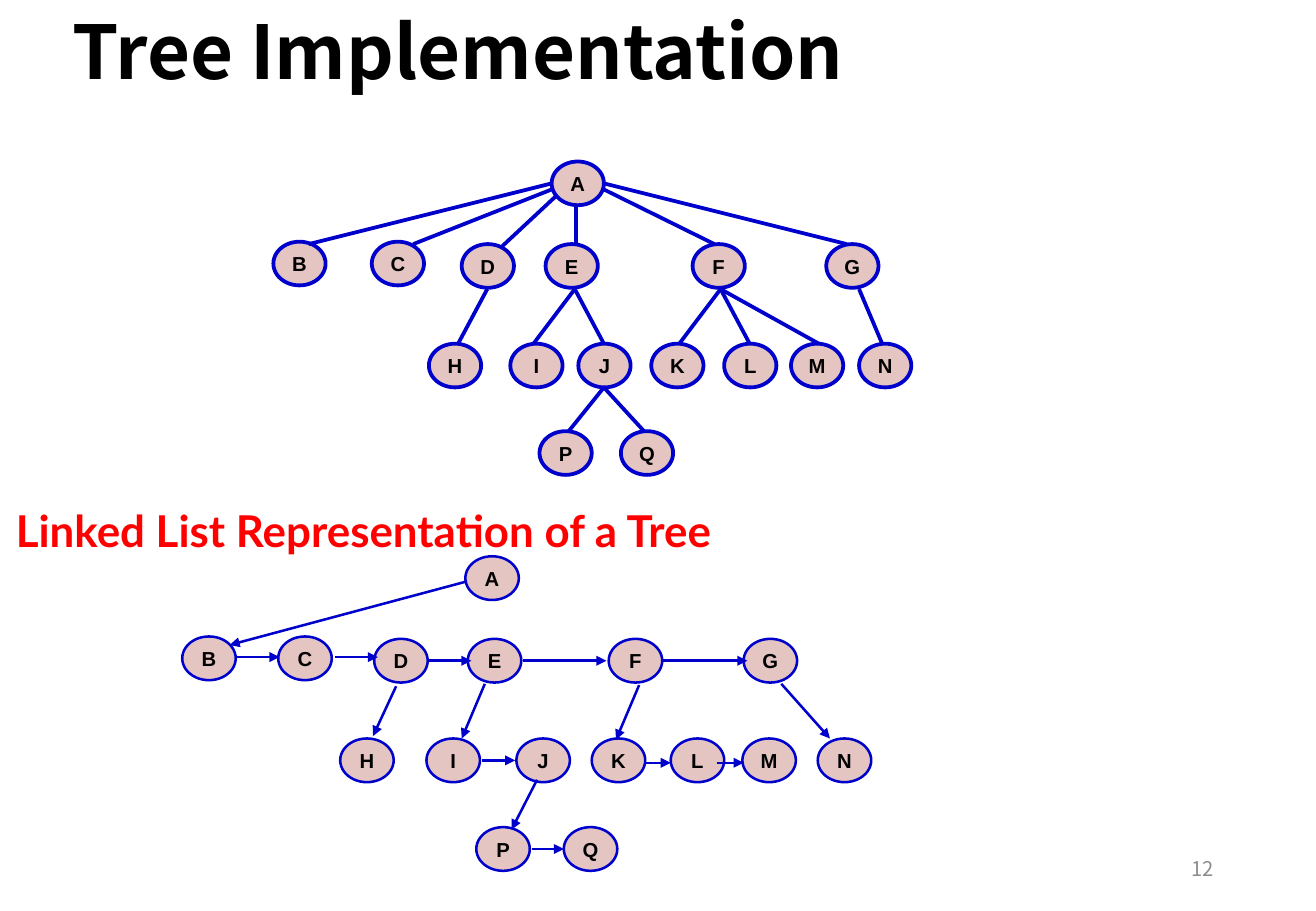
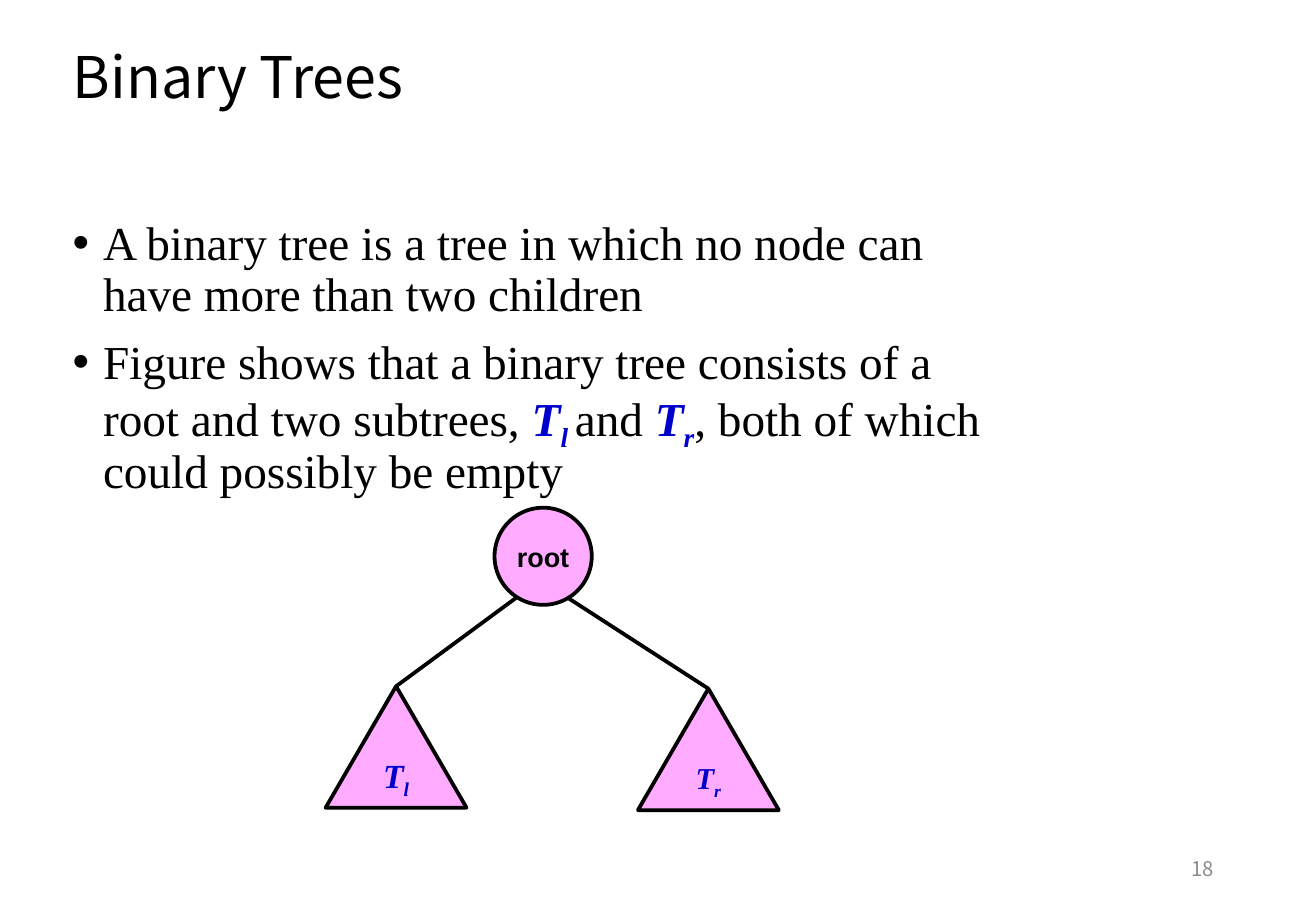
import pptx
import pptx.util
import pptx.dml.color
import pptx.enum.shapes
import pptx.enum.text
import pptx.oxml.ns
import lxml.etree

RGBColor = pptx.dml.color.RGBColor
SHAPE = pptx.enum.shapes.MSO_SHAPE
ALIGN = pptx.enum.text.PP_ALIGN
ANCHOR = pptx.enum.text.MSO_ANCHOR

PX = 9144  # 100 px to the inch

BLACK = RGBColor(0x00, 0x00, 0x00)
GREY = RGBColor(0x8C, 0x8C, 0x8C)
RED = RGBColor(0xFF, 0x00, 0x00)
BLUE = RGBColor(0x00, 0x00, 0xCC)
ROSE = RGBColor(0xE4, 0xC5, 0xC2)
PINK = RGBColor(0xFF, 0xAB, 0xFF)

HEAD_FONT = "Noto Sans CJK SC"
BODY_FONT = "Times New Roman"
NODE_FONT = "Arial"

# Each tree level: top, then the left of each node
TREE_LEVELS = [
    (133, {"A": 454}),
    (199, {"B": 225, "C": 306}),
    (201, {"D": 380, "E": 449, "F": 570, "G": 680}),
    (283, {"H": 353, "I": 420, "J": 476, "K": 536, "L": 596, "M": 651, "N": 707}),
    (355, {"P": 444, "Q": 511}),
]
LIST_LEVELS = [
    (458, {"A": 383}),
    (524, {"B": 150, "C": 229}),
    (526, {"D": 308, "E": 385, "F": 501, "G": 612}),
    (608, {"H": 280, "I": 351, "J": 425, "K": 487, "L": 552, "M": 611, "N": 673}),
    (681, {"P": 392, "Q": 464}),
]

# Each edge: x1, y1, x2, y2
TREE_EDGES = [
    (454, 151, 254, 201), (454, 156, 340, 201), (457, 162, 413, 203),
    (474, 170, 474, 201), (497, 156, 588, 201), (497, 151, 697, 201),
    (401, 238, 377, 283),
    (473, 238, 439, 283), (473, 238, 497, 283),
    (593, 238, 559, 283), (593, 238, 617, 283), (593, 238, 674, 283),
    (707, 238, 726, 283),
    (497, 319, 468, 355), (497, 319, 530, 355),
]
CHILD_LINKS = [
    (383, 479, 189, 531), (326, 565, 307, 606), (399, 563, 380, 608),
    (526, 564, 507, 609), (643, 563, 683, 608), (442, 642, 421, 683),
]
SIBLING_LINKS = [
    (195, 541, 230, 541), (276, 541, 311, 541), (353, 544, 388, 544),
    (430, 544, 499, 544), (546, 544, 615, 544), (397, 626, 424, 626),
    (530, 628, 552, 628), (590, 628, 612, 628), (438, 699, 464, 699),
]


def px(*lengths):
    return [pptx.util.Emu(n * PX) for n in lengths]


def write(p, parts, font, size, color=BLACK, bold=False):
    """Add (text, kind) runs; kind "var" is a blue symbol, "sub" its subscript."""
    for text, kind in parts:
        r = p.add_run()
        r.text = text
        r.font.name = font
        r.font.size = pptx.util.Pt(size)
        r.font.bold = bold or kind != ""
        r.font.italic = kind != ""
        r.font.color.rgb = BLUE if kind else color
        if kind == "sub":
            r._r.get_or_add_rPr().set("baseline", "-25000")


def add_text(s, box, text, font, size, color, bold=False, align=ALIGN.LEFT,
             anchor=ANCHOR.MIDDLE):
    tf = s.shapes.add_textbox(*px(*box)).text_frame
    tf.word_wrap = True
    tf.vertical_anchor = anchor
    p = tf.paragraphs[0]
    p.alignment = align
    write(p, [(text, "")], font, size, color, bold)
    return tf


def add_slide(prs, title, top, size, bold, number):
    s = prs.slides.add_slide(prs.slide_layouts[5])
    sp = s.shapes.title
    sp.left, sp.top, sp.width, sp.height = px(50, top, 792, 125)
    tf = sp.text_frame
    tf.auto_size = pptx.enum.text.MSO_AUTO_SIZE.NONE
    tf.vertical_anchor = ANCHOR.TOP
    p = tf.paragraphs[0]
    p.alignment = ALIGN.LEFT
    p.line_spacing = 0.9
    write(p, [(title, "")], HEAD_FONT, size, bold=bold)
    add_text(s, (765, 695, 244, 40), number, HEAD_FONT, 12, GREY, align=ALIGN.RIGHT)
    return s


def add_node(s, kind, box, parts, font, size, fill, line, weight):
    sp = s.shapes.add_shape(kind, *px(*box))
    sp.shadow.inherit = False
    sp.fill.solid()
    sp.fill.fore_color.rgb = fill
    sp.line.color.rgb = line
    sp.line.width = pptx.util.Pt(weight)
    tf = sp.text_frame
    tf.word_wrap = False
    tf.vertical_anchor = ANCHOR.MIDDLE
    p = tf.paragraphs[0]
    p.alignment = ALIGN.CENTER
    write(p, parts, font, size, bold=True)
    return sp


def add_line(s, ends, color, weight, arrow=False):
    c = s.shapes.add_connector(pptx.enum.shapes.MSO_CONNECTOR.STRAIGHT, *px(*ends))
    c.line.color.rgb = color
    c.line.width = pptx.util.Pt(weight)
    qn = pptx.oxml.ns.qn
    if arrow:
        ln = c.line._get_or_add_ln()
        lxml.etree.SubElement(ln, qn("a:tailEnd"), type="triangle")
    lxml.etree.SubElement(c._element.spPr, qn("a:effectLst"))
    return c


def add_diagram(s, levels, edges, node_width, weight, arrow):
    for top, lefts in levels:
        for label, left in lefts.items():
            add_node(s, SHAPE.OVAL, (left, top, node_width, 36), [(label, "")],
                     NODE_FONT, 12, ROSE, BLUE, weight)
    for ends in edges:
        add_line(s, ends, BLUE, weight, arrow)


def add_bullets(s, box, items):
    tf = s.shapes.add_textbox(*px(*box)).text_frame
    tf.word_wrap = True
    for i, parts in enumerate(items):
        p = tf.add_paragraph() if i else tf.paragraphs[0]
        p.line_spacing = 0.9
        p.space_before = pptx.util.Pt(10)
        pPr = p._p.get_or_add_pPr()
        pPr.set("marL", str(25 * PX))
        pPr.set("indent", str(-25 * PX))
        qn = pptx.oxml.ns.qn
        lxml.etree.SubElement(pPr, qn("a:buFont"), typeface="Arial")
        lxml.etree.SubElement(pPr, qn("a:buChar"), char="•")
        write(p, parts, BODY_FONT, 28)


def build_implementation(prs):
    s = add_slide(prs, "Tree Implementation", 8, 44, True, "12")
    add_diagram(s, TREE_LEVELS, TREE_EDGES, 43, 2.25, False)
    add_diagram(s, LIST_LEVELS, CHILD_LINKS + SIBLING_LINKS, 44, 1.5, True)
    tf = add_text(s, (8, 408, 792, 50), "Linked List Representation of a Tree",
                  "Lato", 26, RED, bold=True, anchor=ANCHOR.BOTTOM)
    tf.margin_left, tf.margin_top, tf.margin_right, tf.margin_bottom = px(5, 0, 5, 0)


def build_binary_trees(prs):
    s = add_slide(prs, "Binary Trees", 35, 34, False, "18")
    add_bullets(s, (50, 176, 792, 249), [
        [("A binary tree is a tree in which no node can have more than two children", "")],
        [("Figure shows that a binary tree consists of a root and two subtrees, ", ""),
         ("T", "var"), ("l ", "sub"), ("and ", ""), ("T", "var"), ("r", "sub"),
         (", both of which could possibly be empty", "")],
    ])
    add_node(s, SHAPE.OVAL, (407, 418, 80, 80), [("root", "")],
             NODE_FONT, 16, PINK, BLACK, 2.25)
    for side, left, top, size, start_x in [("l", 268, 565, 20, 425),
                                           ("r", 525, 567, 18, 467)]:
        subtree = add_node(s, SHAPE.ISOSCELES_TRIANGLE, (left, top, 116, 100),
                           [("T", "var"), (side, "sub")],
                           BODY_FONT, size, PINK, BLACK, 2.25)
        edge = add_line(s, (start_x, 492, left + 58, top), BLACK, 2.25)
        edge.end_connect(subtree, 0)


def main():
    prs = pptx.Presentation()
    prs.slide_width, prs.slide_height = px(1083, 750)
    build_implementation(prs)
    build_binary_trees(prs)
    prs.save("out.pptx")


if __name__ == "__main__":
    main()
